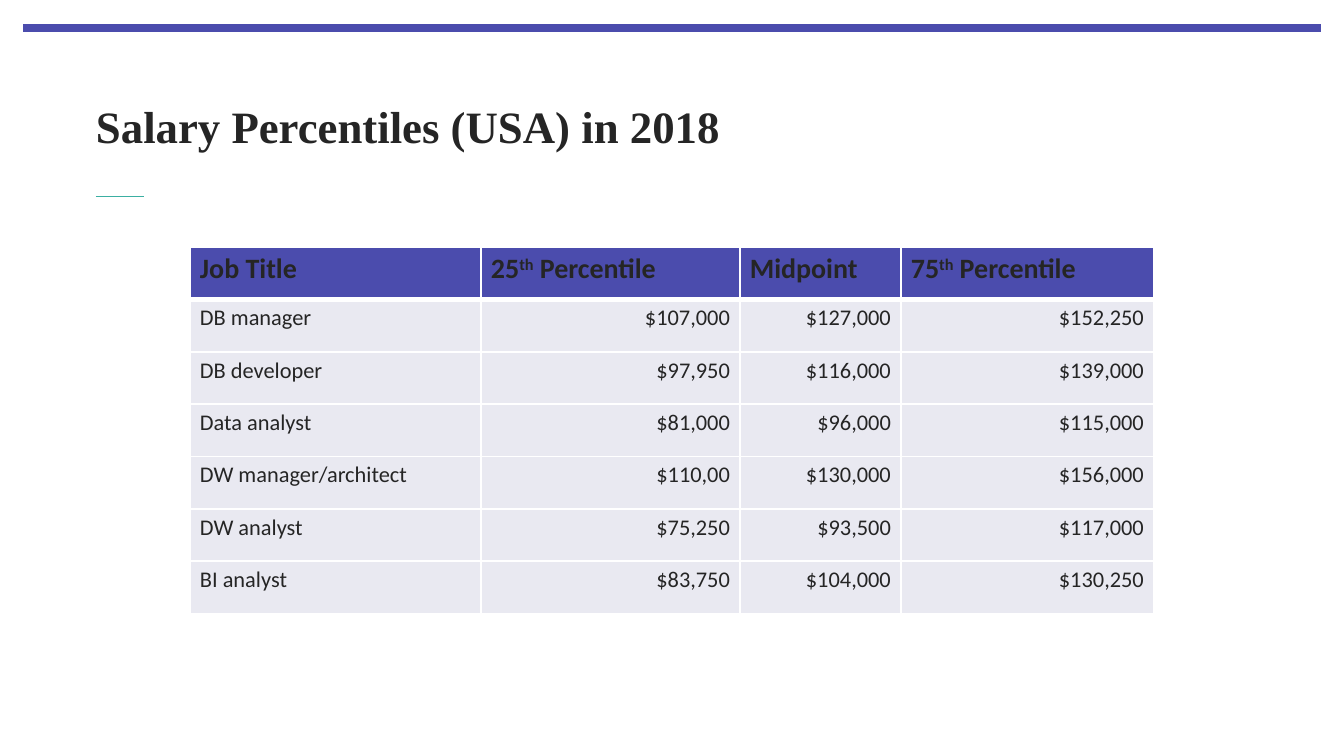
from dataclasses import dataclass

from lxml.etree import SubElement
from pptx import Presentation
from pptx.dml.color import RGBColor
from pptx.enum.shapes import MSO_CONNECTOR, MSO_SHAPE
from pptx.enum.text import MSO_ANCHOR, PP_ALIGN
from pptx.oxml import parse_xml
from pptx.oxml.ns import nsdecls, qn
from pptx.util import Emu, Pt

PX = 914400 / 134.4


@dataclass(frozen=True)
class Theme:
    accent: str = "4B4CAD"
    rule: str = "3BAFA2"
    ink: str = "252525"
    band: str = "E9E9F1"
    border: str = "FFFFFF"
    title_font: str = "Times New Roman"
    body_font: str = "Calibri"
    title_size: int = 24
    header_size: int = 15
    body_size: int = 12


def px(value):
    return Emu(round(value * PX))


def color(value):
    return RGBColor.from_string(value)


def write_text(frame, text, *, font, size, ink, bold=False, align=PP_ALIGN.LEFT,
               insets=(0, 0), anchor=MSO_ANCHOR.TOP):
    """Write one paragraph; parts between ^ marks are superscript."""
    frame.word_wrap = True
    frame.vertical_anchor = anchor
    frame.margin_left = frame.margin_right = px(insets[0])
    frame.margin_top = frame.margin_bottom = px(insets[1])
    paragraph = frame.paragraphs[0]
    paragraph.alignment = align
    for index, part in enumerate(text.split("^")):
        run = paragraph.add_run()
        run.text = part
        run.font.name = font
        run.font.size = Pt(size)
        run.font.bold = bold
        run.font.color.rgb = color(ink)
        if index % 2:
            run._r.get_or_add_rPr().set("baseline", "30000")


class SlideBuilder:
    def __init__(self, slide, theme):
        self.slide = slide
        self.theme = theme

    def bar(self, left, top, width, height):
        shape = self.slide.shapes.add_shape(
            MSO_SHAPE.RECTANGLE, px(left), px(top), px(width), px(height))
        shape.shadow.inherit = False
        shape.fill.solid()
        shape.fill.fore_color.rgb = color(self.theme.accent)
        shape.line.fill.background()

    def rule(self, left, top, width):
        line = self.slide.shapes.add_connector(
            MSO_CONNECTOR.STRAIGHT, px(left), px(top), px(left + width), px(top))
        line.line.color.rgb = color(self.theme.rule)
        line.line.width = Pt(0.5)
        SubElement(line._element.spPr, qn("a:effectLst"))

    def title(self, text, left, top, width, height):
        box = self.slide.shapes.add_textbox(px(left), px(top), px(width), px(height))
        write_text(box.text_frame, text, font=self.theme.title_font,
                   size=self.theme.title_size, ink=self.theme.ink, bold=True,
                   anchor=MSO_ANCHOR.MIDDLE)

    def borders(self, cell, **widths):
        properties = cell._tc.get_or_add_tcPr()
        for index, side in enumerate("LRTB"):
            width = Pt(widths.get(side, 1))
            properties.insert(index, parse_xml(
                f'<a:ln{side} {nsdecls("a")} w="{width}"><a:solidFill>'
                f'<a:srgbClr val="{self.theme.border}"/></a:solidFill></a:ln{side}>'))

    def table(self, rows, left, top, column_widths, height):
        theme = self.theme
        table = self.slide.shapes.add_table(
            len(rows), len(column_widths), px(left), px(top),
            px(sum(column_widths)), px(height)).table
        for column, width in zip(table.columns, column_widths):
            column.width = px(width)
        for row_index, row in enumerate(rows):
            header = row_index == 0
            for column_index, text in enumerate(row):
                cell = table.cell(row_index, column_index)
                number = not header and column_index > 0
                write_text(cell.text_frame, text, font=theme.body_font,
                           size=theme.header_size if header else theme.body_size,
                           ink=theme.ink, bold=header,
                           align=PP_ALIGN.RIGHT if number else PP_ALIGN.LEFT)
                cell.margin_left = cell.margin_right = px(10)
                cell.margin_top = cell.margin_bottom = px(5)
                cell.fill.solid()
                cell.fill.fore_color.rgb = color(theme.accent if header else theme.band)
                self.borders(cell, B=3 if header else 1, T=3 if row_index == 1 else 1)


SALARIES = [
    ("Job Title", "25^th^ Percentile", "Midpoint", "75^th^ Percentile"),
    ("DB manager", "$107,000", "$127,000", "$152,250"),
    ("DB developer", "$97,950", "$116,000", "$139,000"),
    ("Data analyst", "$81,000", "$96,000", "$115,000"),
    ("DW manager/architect", "$110,00", "$130,000", "$156,000"),
    ("DW analyst", "$75,250", "$93,500", "$117,000"),
    ("BI analyst", "$83,750", "$104,000", "$130,250"),
]


def main():
    presentation = Presentation()
    presentation.slide_width = px(1344)
    presentation.slide_height = px(756)
    slide = presentation.slides.add_slide(presentation.slide_layouts[6])
    builder = SlideBuilder(slide, Theme())

    # Top bar, title and its short rule
    builder.bar(23, 24, 1298, 8)
    builder.rule(96, 196, 48)
    builder.title("Salary Percentiles (USA) in 2018", 96, 63, 1171, 126)

    # Salary table
    builder.table(SALARIES, 190, 247, (291, 259, 161, 253), 367)

    presentation.save("out.pptx")


if __name__ == "__main__":
    main()
